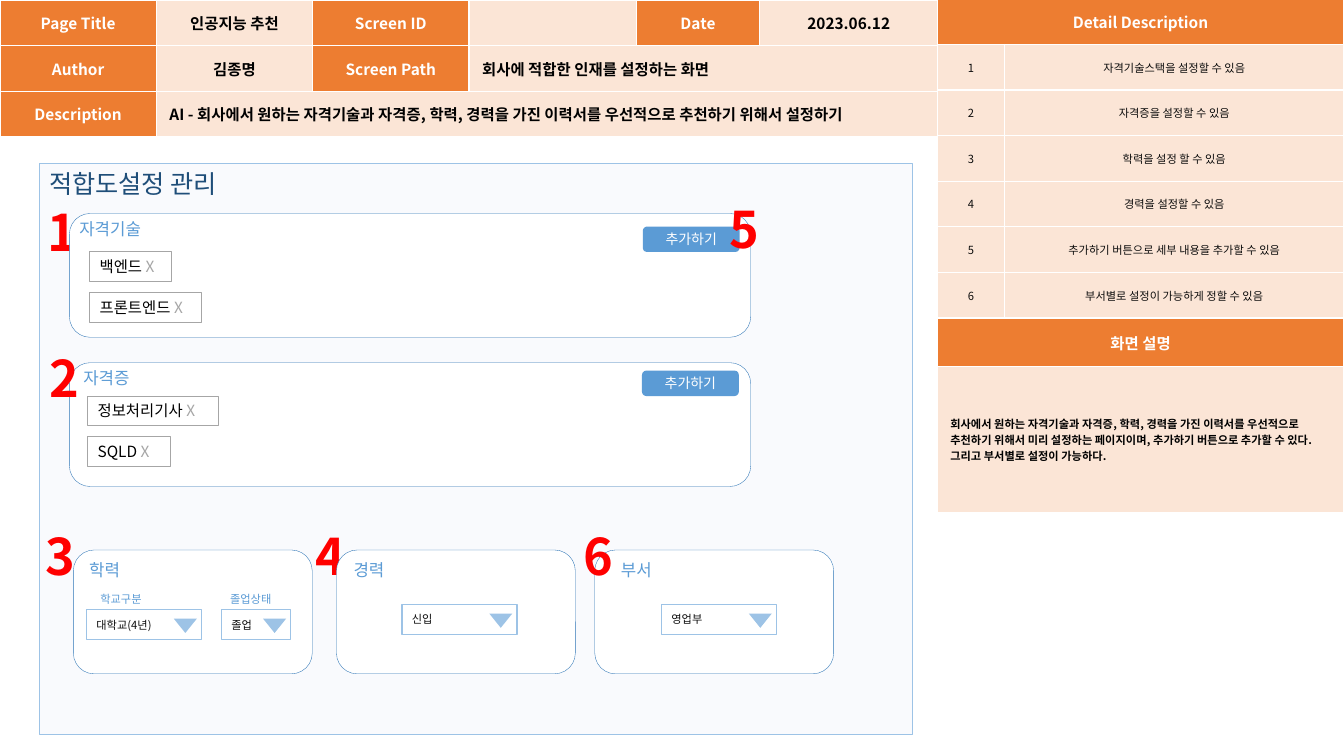
from lxml.etree import SubElement
from pptx import Presentation
from pptx.dml.color import RGBColor
from pptx.enum.shapes import MSO_SHAPE
from pptx.enum.text import MSO_ANCHOR, PP_ALIGN
from pptx.oxml.ns import qn
from pptx.util import Cm, Pt

FONT = "Noto Sans CJK KR"
COLORS = {
    "orange": "ED7D31", "peach": "FBE5D6", "white": "FFFFFF", "black": "000000",
    "ink": "0D0D0D", "navy": "1F4E79", "blue": "5B9BD5", "sky": "9DC3E6",
    "outline": "2E75B6", "canvas": "F9FAFD", "gray": "A6A6A6", "red": "FF0000",
}
STYLES = {
    "header": ({"size": Pt(11), "bold": True}, "white"),
    "value": ({"size": Pt(11), "bold": True}, "black"),
    "detail": ({"size": Pt(8), "bold": False}, "ink"),
    "summary": ({"size": Pt(8), "bold": True}, "black"),
    "title": ({"size": Pt(18)}, "navy"),
    "badge": ({"size": Pt(36), "bold": True}, "red"),
    "label": ({"size": Pt(12)}, "blue"),
    "caption": ({"size": Pt(8)}, "blue"),
    "button": ({"size": Pt(10)}, "white"),
    "tag": ({"size": Pt(11)}, "black"),
    "remove": ({"size": Pt(11)}, "gray"),
    "select": ({"size": Pt(8)}, "ink"),
}
CELL_MARGINS = {"margin_left": Cm(0.33), "margin_right": Cm(0.33),
                "margin_top": Cm(0.13), "margin_bottom": Cm(0.13)}
ROW = 1.15
CARD_HEIGHT = 3.12


def color(name):
    return RGBColor.from_string(COLORS[name])


def set_values(target, values):
    for name, value in values.items():
        setattr(target, name, value)


def add_span(para, text, style):
    span = para.add_run()
    span.text = text
    values, tint = STYLES[style]
    set_values(span.font, {"name": FONT, **values})
    span.font.color.rgb = color(tint)
    SubElement(span.font._element, qn("a:ea"), typeface=FONT)


def add_label(page, box, text, style):
    shape = page.shapes.add_textbox(*map(Cm, box))
    shape.text_frame.word_wrap = True
    add_span(shape.text_frame.paragraphs[0], text, style)


def add_block(page, kind, box, fill=None, line=None, width=0.25):
    shape = page.shapes.add_shape(kind, *map(Cm, box))
    shape.shadow.inherit = False
    if fill:
        shape.fill.solid()
        shape.fill.fore_color.rgb = color(fill)
    else:
        shape.fill.background()
    if line:
        shape.line.color.rgb = color(line)
        shape.line.width = Pt(width)
    else:
        shape.line.fill.background()
    return shape


def fill_block(shape, spans, align=PP_ALIGN.LEFT, anchor=MSO_ANCHOR.MIDDLE, wrap=True):
    set_values(shape.text_frame, {"word_wrap": wrap, "vertical_anchor": anchor})
    para = shape.text_frame.paragraphs[0]
    para.alignment = align
    for text, style in spans:
        add_span(para, text, style)


def add_grid(page, left, top, columns, rows, entries, merges, first_row):
    """Entries hold rows of (text, style, alignment)."""
    frame = page.shapes.add_table(len(rows), len(columns), Cm(left), Cm(top),
                                  Cm(sum(columns)), Cm(sum(rows)))
    grid = frame.table
    set_values(grid, {"first_row": first_row, "horz_banding": False})
    for column, width in zip(grid.columns, columns):
        column.width = Cm(width)
    for row, height in zip(grid.rows, rows):
        row.height = Cm(height)
    for row, start, end in merges:
        grid.cell(row, start).merge(grid.cell(row, end))
    for row, line in enumerate(entries):
        for column, (text, style, align) in enumerate(line):
            cell = grid.cell(row, column)
            set_values(cell, {**CELL_MARGINS, "vertical_anchor": MSO_ANCHOR.MIDDLE})
            cell.fill.solid()
            cell.fill.fore_color.rgb = color("orange" if style == "header" else "peach")
            para = cell.text_frame.paragraphs[0]
            para.alignment = align
            if text:
                add_span(para, text, style)


# Page information across the top
def add_page_info(page, left, top):
    def head(text):
        return text, "header", PP_ALIGN.CENTER

    def value(text, align=PP_ALIGN.CENTER):
        return text, "value", align

    entries = [
        [head("Page Title"), value("인공지능 추천"), head("Screen ID"), value(""),
         head("Date"), value("2023.06.12")],
        [head("Author"), value("김종명"), head("Screen Path"),
         value("회사에 적합한 인재를 설정하는 화면", PP_ALIGN.LEFT)],
        [head("Description"),
         value("AI - 회사에서 원하는 자격기술과 자격증, 학력, 경력을 가진 이력서를 "
               "우선적으로 추천하기 위해서 설정하기", PP_ALIGN.LEFT)],
    ]
    add_grid(page, left, top, [3.94] * 3 + [4.22, 3.1, 4.5], [ROW] * 3, entries,
             [(1, 3, 5), (2, 1, 5)], False)


# Numbered descriptions down the right side
def add_details(page, left, top):
    details = ["자격기술스택을 설정할 수 있음", "자격증을 설정할 수 있음",
               "학력을 설정 할 수 있음", "경력을 설정할 수 있음",
               "추가하기 버튼으로 세부 내용을 추가할 수 있음",
               "부서별로 설정이 가능하게 정할 수 있음"]
    summary = ("회사에서 원하는 자격기술과 자격증, 학력, 경력을 가진 이력서를 우선적으로 "
               "추천하기 위해서 미리 설정하는 페이지이며, 추가하기 버튼으로 추가할 수 있다. "
               "그리고 부서별로 설정이 가능하다.")
    center = PP_ALIGN.CENTER
    entries = [[("Detail Description", "header", center)]]
    entries += [[(str(number), "detail", center), (text, "detail", center)]
                for number, text in enumerate(details, 1)]
    entries += [[("화면 설명", "header", center)], [(summary, "summary", PP_ALIGN.LEFT)]]
    add_grid(page, left, top, [1.7, 8.55], [ROW] * 7 + [1.22, 3.68], entries,
             [(row, 0, 1) for row in (0, 7, 8)], True)


def add_badge(page, left, top, number):
    add_label(page, (left, top, 1.63, 1.8), number, "badge")


def add_card(page, box, label, label_at, number, badge_at, badge_in_front):
    left, top = box[:2]
    badge = (left + badge_at[0], top + badge_at[1], number)
    if not badge_in_front:
        add_badge(page, *badge)
    card = add_block(page, MSO_SHAPE.ROUNDED_RECTANGLE, box, "white", "outline")
    card.adjustments[0] = 0.167
    add_label(page, (left + label_at[0], top + label_at[1], 5.03, 0.76), label, "label")
    if badge_in_front:
        add_badge(page, *badge)


# Add button and removable tags inside a wide card
def add_tags(page, left, top, button_at, tags_at, tags):
    button = add_block(page, MSO_SHAPE.ROUNDED_RECTANGLE,
                       (left + button_at[0], top + button_at[1], 2.44, 0.64), "blue")
    fill_block(button, [("추가하기", "button")], PP_ALIGN.CENTER)
    for index, (text, width) in enumerate(tags):
        box = (left + tags_at[0], top + tags_at[1] + 1.03 * index, width, 0.74)
        tag = add_block(page, MSO_SHAPE.RECTANGLE, box, None, "gray", 0.75)
        fill_block(tag, [(text + " ", "tag"), ("X", "remove")],
                   anchor=MSO_ANCHOR.TOP, wrap=False)


# Drop-down field with its arrow
def add_select(page, left, top, width, text, caption=None, caption_shift=0):
    field = add_block(page, MSO_SHAPE.RECTANGLE, (left, top, width, 0.76), "white", "sky", 1)
    fill_block(field, [(text, "select")])
    arrow = add_block(page, MSO_SHAPE.ISOSCELES_TRIANGLE,
                      (left + width - 0.7, top + 0.23, 0.58, 0.36), "sky")
    arrow.rotation = 180
    if caption:
        add_label(page, (left + caption_shift, top - 0.55, 5.03, 0.61), caption, "caption")


# Mock-up of the settings screen
def add_screen(page, box):
    left, top = box[:2]
    add_block(page, MSO_SHAPE.RECTANGLE, box, "canvas", "sky", 0.5)
    add_label(page, (left, top, 8.31, 1.02), "적합도설정 관리", "title")

    wide_left = left + 0.76
    skill_top, license_top, lower_top = top + 1.27, top + 5.03, top + 9.75
    add_card(page, (wide_left, skill_top, 17.17, CARD_HEIGHT), "자격기술", (0, 0),
             "1", (-0.81, -0.43), False)
    add_tags(page, wide_left, skill_top, (14.45, 0.33), (0.51, 0.97),
             [("백엔드", 2.06), ("프론트엔드", 2.82)])
    add_badge(page, wide_left + 16.38, skill_top - 0.51, "5")
    add_card(page, (wide_left, license_top, 17.17, CARD_HEIGHT), "자격증", (0.1, 0),
             "2", (-0.76, -0.53), True)
    add_tags(page, wide_left, license_top, (14.43, 0.2), (0.46, 0.84),
             [("정보처리기사", 3.3), ("SQLD", 2.08)])

    lower_cards = [
        (0.86, "학력", 0.15, "3", -0.96, False,
         [(0.33, 1.5, 2.9, "대학교(4년)", "학교구분", 0.1),
          (3.73, 1.5, 1.75, "졸업", "졸업상태", -0.03)]),
        (7.49, "경력", 0.18, "4", -0.78, False, [(1.65, 1.37, 2.9, "신입")]),
        (14.0, "부서", 0.41, "6", -0.54, True, [(1.68, 1.37, 2.9, "영업부")]),
    ]
    for offset, label, label_x, number, badge_x, in_front, selects in lower_cards:
        card_left = left + offset
        add_card(page, (card_left, lower_top, 6.02, CARD_HEIGHT), label, (label_x, 0.13),
                 number, (badge_x, -0.74), in_front)
        for x, y, *field in selects:
            add_select(page, card_left + x, lower_top + y, *field)


def main():
    deck = Presentation()
    set_values(deck, {"slide_width": Cm(33.87), "slide_height": Cm(19.05)})
    page = deck.slides.add_slide(deck.slide_layouts[6])
    add_screen(page, (0.99, 4.11, 22.0, 14.4))
    add_page_info(page, 0, 0)
    add_details(page, 23.62, -0.03)
    deck.save("out.pptx")


if __name__ == "__main__":
    main()
